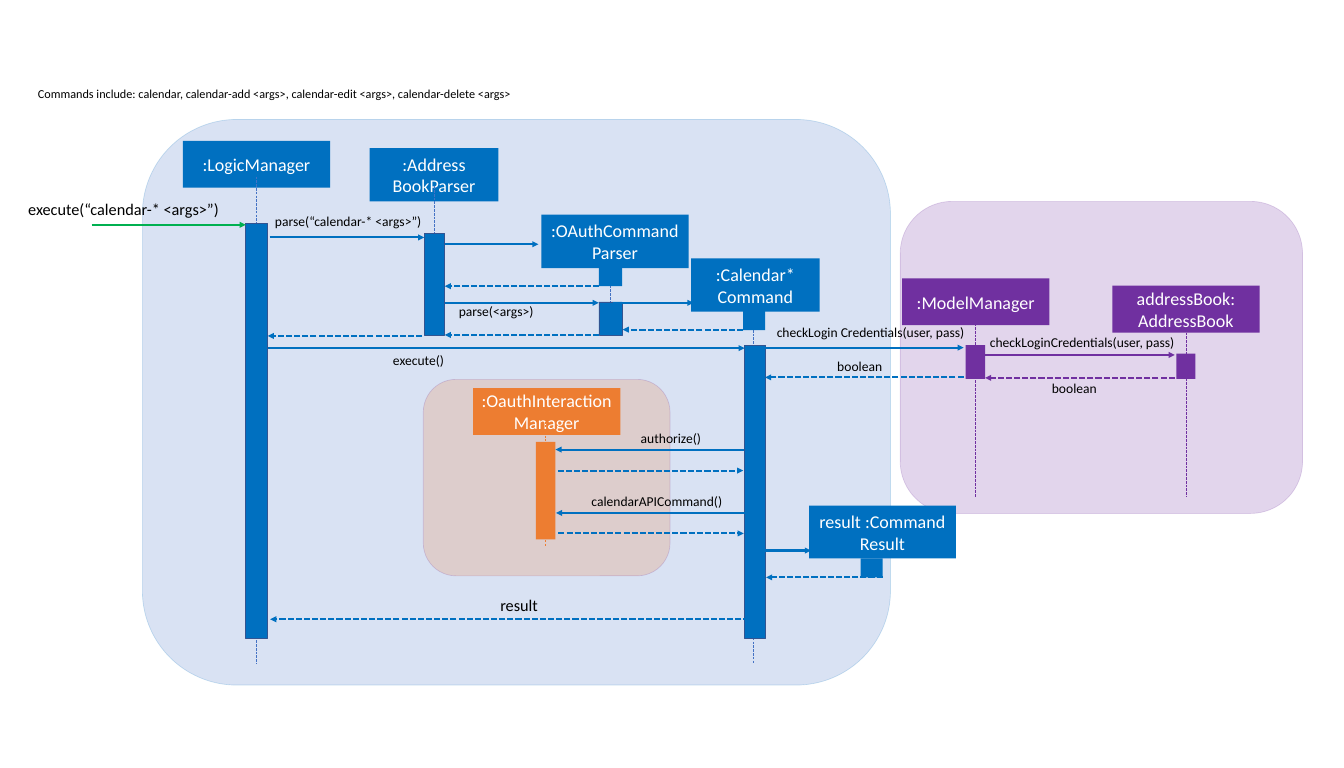
import pptx
import pptx.dml.color
import pptx.enum.dml
import pptx.enum.shapes
import pptx.enum.text
import pptx.oxml
import pptx.oxml.ns
import pptx.util
from pptx.util import Inches

BLUE, PURPLE, ORANGE, GREEN = "0070C0", "7030A0", "ED7D31", "00B050"
LIFELINE, EDGE, BLACK, WHITE = "4472C4", "325491", "000000", "FFFFFF"
FONT = "Calibri"
RECTANGLE = pptx.enum.shapes.MSO_SHAPE.RECTANGLE
ROUNDED = pptx.enum.shapes.MSO_SHAPE.ROUNDED_RECTANGLE
LONG_DASH = pptx.enum.dml.MSO_LINE.LONG_DASH
DASH = pptx.enum.dml.MSO_LINE.DASH
REPLY = pptx.enum.dml.MSO_LINE.SQUARE_DOT
NAMESPACE = pptx.oxml.ns.nsdecls("a")

deck = pptx.Presentation()
deck.slide_width = Inches(27.56)
deck.slide_height = Inches(15.75)
slide = deck.slides.add_slide(deck.slide_layouts[6])
shapes = slide.shapes


def rgb(color):
    return pptx.dml.color.RGBColor.from_string(color)


def draw_line(start, end, color, width, dash=None, arrow=False):
    line = shapes.add_connector(
        pptx.enum.shapes.MSO_CONNECTOR.STRAIGHT, *map(Inches, start + end))
    line.line.color.rgb = rgb(color)
    line.line.width = pptx.util.Pt(width)
    line.line.dash_style = dash
    if arrow:
        line.line._get_or_add_ln().append(
            pptx.oxml.parse_xml(f'<a:tailEnd {NAMESPACE} type="triangle"/>'))
    line._element.spPr.append(pptx.oxml.parse_xml(f"<a:effectLst {NAMESPACE}/>"))
    return line


# The parser's lifeline lies behind the translucent logic region
draw_line((12.52, 4.69), (12.52, 6.87), LIFELINE, 0.5, LONG_DASH)

regions = [
    ((18.46, 4.13, 8.25, 6.4), PURPLE, PURPLE),
    ((2.92, 2.45, 15.34, 11.6), LIFELINE, BLUE),
    ((8.68, 7.78, 5.06, 4.03), ORANGE, PURPLE),
]
for place, fill, outline in regions:
    region = shapes.add_shape(ROUNDED, *map(Inches, place))
    region.shadow.inherit = False
    region.fill.solid()
    region.fill.fore_color.rgb = rgb(fill)
    region.line.color.rgb = rgb(outline)
    region.line.width = pptx.util.Pt(1)
    for color in region._element.spPr.iter(pptx.oxml.ns.qn("a:srgbClr")):
        color.append(pptx.oxml.parse_xml(f'<a:alpha {NAMESPACE} val="20000"/>'))

participants = [
    ((3.75, 2.89, 3.02, 0.96), BLUE, [":LogicManager"]),
    ((7.58, 3.04, 2.64, 1.09), BLUE, [":Address", "BookParser"]),
    ((11.1, 4.4, 3.02, 1.1), BLUE, [":OAuthCommand", "Parser"]),
    ((14.17, 5.3, 2.64, 1.09), BLUE, [":Calendar*", "Command"]),
    ((16.59, 10.37, 3.01, 1.08), BLUE, ["result :Command", "Result"]),
    ((18.5, 5.71, 3.02, 0.96), PURPLE, [":ModelManager"]),
    ((22.81, 5.86, 3.02, 0.96), PURPLE, ["addressBook:", "AddressBook"]),
    ((9.7, 7.96, 3.02, 0.96), ORANGE, [":OauthInteraction", "Manager"]),
]
for place, fill, words in participants:
    box = shapes.add_shape(RECTANGLE, *map(Inches, place))
    box.shadow.inherit = False
    box.fill.solid()
    box.fill.fore_color.rgb = rgb(fill)
    box.line.fill.background()
    frame = box.text_frame
    frame.word_wrap = True
    frame.vertical_anchor = pptx.enum.text.MSO_ANCHOR.MIDDLE
    frame.margin_left = frame.margin_right = Inches(0.15)
    frame.margin_top = frame.margin_bottom = Inches(0.07)
    para = frame.paragraphs[0]
    para.alignment = pptx.enum.text.PP_ALIGN.CENTER
    for index, word in enumerate(words):
        if index:
            para.add_line_break()
        span = para.add_run()
        span.text = word
        span.font.name = FONT
        span.font.size = pptx.util.Pt(26.6)
        span.font.color.rgb = rgb(WHITE)
    if words[0] == "addressBook:":
        address_book = box

lifelines = [
    (5.25, 3.62, 13.6, LIFELINE),
    (8.9, 3.82, 6.87, LIFELINE),
    (15.44, 6.53, 13.6, LIFELINE),
    (20, 6.55, 10.19, PURPLE),
]
for x, top, bottom, color in lifelines:
    draw_line((x, top), (x, bottom), color, 0.5, LONG_DASH)
draw_line((11.19, 8), (11.19, 11.2), ORANGE, 0.75, DASH)
address_lifeline = draw_line((24.32, 6.82), (24.32, 10.19), PURPLE, 0.5, LONG_DASH)
address_lifeline.begin_connect(address_book, 2)

activations = [
    ((5.04, 4.58, 0.45, 8.51), BLUE, EDGE),
    ((8.7, 4.78, 0.42, 2.09), BLUE, EDGE),
    ((12.28, 5.48, 0.48, 0.39), BLUE, None),
    ((12.28, 6.19, 0.48, 0.68), BLUE, EDGE),
    ((15.24, 6.38, 0.45, 0.39), BLUE, None),
    ((15.27, 7.08, 0.43, 6.01), BLUE, EDGE),
    ((17.65, 11.45, 0.45, 0.39), BLUE, None),
    ((19.8, 7.08, 0.4, 0.69), PURPLE, None),
    ((24.12, 7.25, 0.39, 0.52), PURPLE, None),
    ((10.99, 9.06, 0.4, 2), ORANGE, None),
]
for place, fill, outline in activations:
    bar = shapes.add_shape(RECTANGLE, *map(Inches, place))
    bar.shadow.inherit = False
    bar.fill.solid()
    bar.fill.fore_color.rgb = rgb(fill)
    if outline:
        bar.line.color.rgb = rgb(outline)
        bar.line.width = pptx.util.Pt(1)
    else:
        bar.line.fill.background()

# Each message: from x, to x, y, colour; those running left to right are calls
messages = [
    (1.88, 5.04, 4.61, GREEN, None),
    (5.53, 8.7, 4.87, BLUE, None),
    (9.12, 11.04, 5.01, BLUE, None),
    (12.28, 9.12, 5.87, BLUE, REPLY),
    (9.12, 12.28, 6.21, BLUE, None),
    (12.56, 14.22, 6.21, BLUE, None),
    (15.24, 12.77, 6.76, BLUE, REPLY),
    (12.28, 9.12, 6.87, BLUE, REPLY),
    (8.66, 5.49, 6.89, BLUE, REPLY),
    (5.49, 15.27, 7.14, BLUE, None),
    (15.68, 19.76, 7.13, BLUE, None),
    (20.12, 24.09, 7.28, PURPLE, None),
    (24.09, 20.2, 7.75, PURPLE, REPLY),
    (19.76, 15.69, 7.74, BLUE, REPLY),
    (15.26, 11.39, 9.22, BLUE, None),
    (11.44, 15.24, 9.65, BLUE, REPLY),
    (15.27, 11.4, 10.52, BLUE, None),
    (11.45, 15.25, 10.94, BLUE, REPLY),
    (15.68, 16.63, 11.29, BLUE, None),
    (18.1, 15.71, 11.84, BLUE, REPLY),
    (15.37, 5.54, 12.7, BLUE, REPLY),
]
for start, end, y, color, dash in messages:
    draw_line((start, y), (end, y), color, 3, dash, arrow=True)

labels = [
    ((0.68, 1.72, 10.02, 0.4), 18, "Commands include: calendar, calendar-add <args>, "
                                   "calendar-edit <args>, calendar-delete <args>"),
    ((0.48, 4.03, 4.54, 0.5), 24, "execute(“calendar-* <args>”)"),
    ((5.54, 4.32, 3.45, 0.44), 20, "parse(“calendar-* <args>”)"),
    ((9.31, 6.16, 3.45, 0.44), 20, "parse(<args>)"),
    ((7.96, 7.16, 4.54, 0.44), 20, "execute()"),
    ((15.83, 6.59, 4.1, 0.44), 20, "checkLogin Credentials(user, pass)"),
    ((20.2, 6.8, 4.1, 0.44), 20, "checkLoginCredentials(user, pass)"),
    ((17.07, 7.29, 1.35, 0.44), 20, "boolean"),
    ((21.47, 7.74, 1.35, 0.44), 20, "boolean"),
    ((13.04, 8.77, 1.89, 0.44), 20, "authorize()"),
    ((12.03, 10.06, 2.95, 0.44), 20, "calendarAPICommand()"),
    ((10.16, 12.16, 3.45, 0.5), 24, "result"),
]
for place, size, words in labels:
    label = shapes.add_textbox(*map(Inches, place))
    label.text_frame.word_wrap = size != 18
    label.text_frame.auto_size = pptx.enum.text.MSO_AUTO_SIZE.SHAPE_TO_FIT_TEXT
    span = label.text_frame.paragraphs[0].add_run()
    span.text = words
    span.font.name = FONT
    span.font.size = pptx.util.Pt(size)
    span.font.color.rgb = rgb(BLACK)

deck.save("out.pptx")
